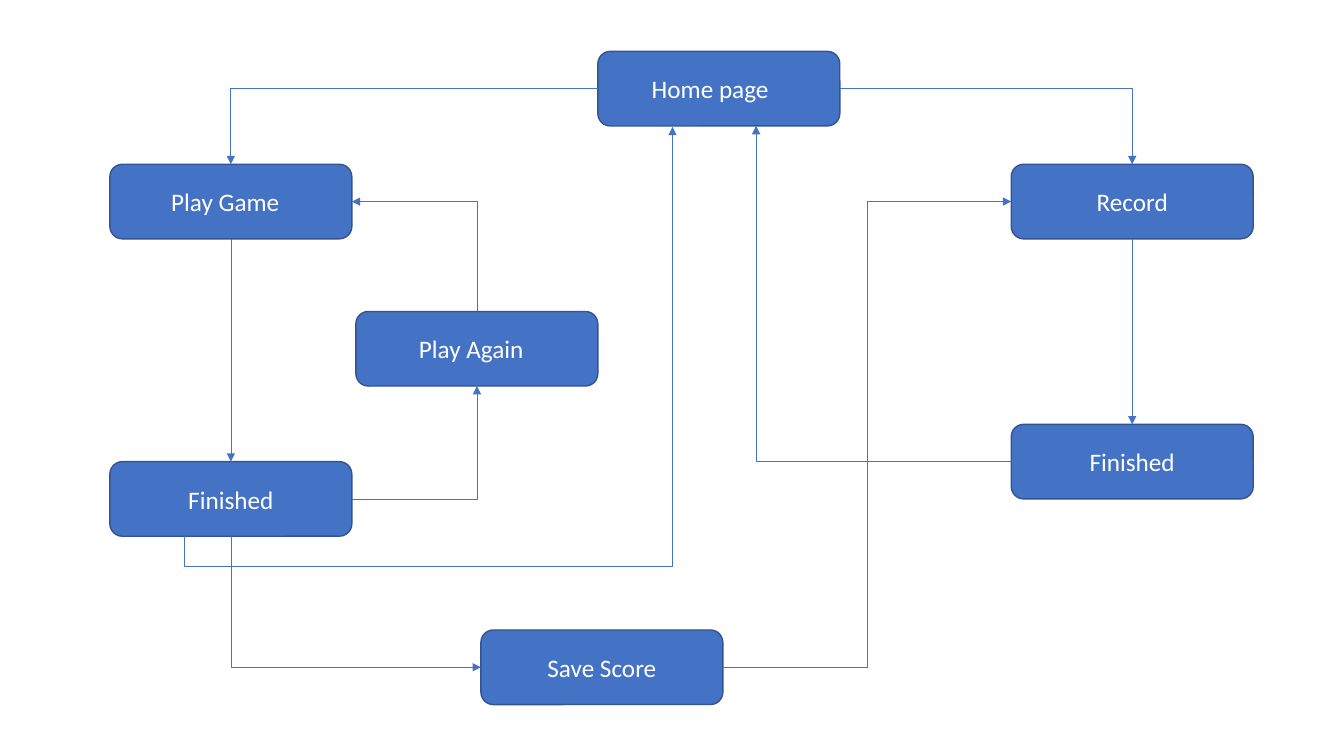
from dataclasses import dataclass

from lxml import etree
from pptx import Presentation
from pptx.dml.color import RGBColor
from pptx.enum.shapes import MSO_CONNECTOR, MSO_SHAPE
from pptx.enum.text import MSO_ANCHOR, PP_ALIGN
from pptx.oxml.ns import qn
from pptx.util import Inches, Pt

ROUNDED = MSO_SHAPE.ROUNDED_RECTANGLE
ELBOW, STRAIGHT = MSO_CONNECTOR.ELBOW, MSO_CONNECTOR.STRAIGHT
MIDDLE, CENTER = MSO_ANCHOR.MIDDLE, PP_ALIGN.CENTER

COLORS = {"step": "4472C4", "border": "325491", "label": "FFFFFF"}
STEP_WIDTH, STEP_HEIGHT = 2.4, 0.74
INSET = 0.1
QUARTER_TURN = "5400000"

Point = tuple[float, float]


@dataclass(frozen=True)
class Step:
    label: str
    left: float
    top: float
    label_gap: float = 0  # extra room right of the label

    def on_edge(self, across: float, down: float) -> Point:
        """Point at the given fractions of the step's width and height."""
        return self.left + across * STEP_WIDTH, self.top + down * STEP_HEIGHT

    def north(self) -> Point:
        return self.on_edge(0.5, 0)

    def south(self) -> Point:
        return self.on_edge(0.5, 1)

    def west(self) -> Point:
        return self.on_edge(0, 0.5)

    def east(self) -> Point:
        return self.on_edge(1, 0.5)


@dataclass(frozen=True)
class Flow:
    start: Point
    end: Point
    bends: int = 1
    leaves_vertically: bool = False
    first_leg: float | None = None  # share of the span before the first bend


HOME = Step("Home page", 5.93, 0.51, 0.17)
PLAY = Step("Play Game", 1.09, 1.63, 0.11)
RECORD = Step("Record", 10.03, 1.63)
AGAIN = Step("Play Again", 3.53, 3.09, 0.11)
GAME_FINISHED = Step("Finished", 1.09, 4.58)
RECORD_FINISHED = Step("Finished", 10.03, 4.21)
SAVE = Step("Save Score", 4.77, 6.25)
STEPS = [HOME, PLAY, RECORD, AGAIN, GAME_FINISHED, RECORD_FINISHED, SAVE]

FLOWS = [
    Flow(HOME.west(), PLAY.north()),
    Flow(HOME.east(), RECORD.north()),
    Flow(PLAY.south(), GAME_FINISHED.north(), bends=0),
    Flow(RECORD.south(), RECORD_FINISHED.north(), bends=0),
    Flow(GAME_FINISHED.east(), AGAIN.south()),
    Flow(AGAIN.north(), PLAY.east(), leaves_vertically=True),
    Flow((1.83, 5.32), (6.67, 1.26), bends=2, leaves_vertically=True, first_leg=-0.075),
    Flow(RECORD_FINISHED.west(), (7.5, 1.25)),
    Flow(GAME_FINISHED.south(), SAVE.west(), leaves_vertically=True),
    Flow(SAVE.east(), RECORD.west(), bends=2),
]


def rgb(name: str) -> RGBColor:
    return RGBColor.from_string(COLORS[name])


def write_text(shape, text: str, *, size: float = 18, color: str = "label",
               font: str = "Calibri", right_inset: float = INSET) -> None:
    frame = shape.text_frame
    frame.word_wrap = True
    frame.vertical_anchor = MIDDLE
    frame.margin_right = Inches(right_inset)
    paragraph = frame.paragraphs[0]
    paragraph.alignment = CENTER
    run = paragraph.add_run()
    run.text = text
    run.font.size = Pt(size)
    run.font.name = font
    run.font.color.rgb = rgb(color)


def draw_step(slide, step: Step) -> None:
    shape = slide.shapes.add_shape(ROUNDED, Inches(step.left), Inches(step.top),
                                   Inches(STEP_WIDTH), Inches(STEP_HEIGHT))
    shape.shadow.inherit = False
    shape.fill.solid()
    shape.fill.fore_color.rgb = rgb("step")
    shape.line.color.rgb = rgb("border")
    shape.line.width = Pt(1)
    write_text(shape, step.label, right_inset=INSET + step.label_gap)


def quarter_turned(start: Point, end: Point) -> tuple[Point, Point]:
    """Ends that land on start and end after a clockwise quarter turn."""
    mid_x, mid_y = (start[0] + end[0]) / 2, (start[1] + end[1]) / 2
    half_x, half_y = (end[0] - start[0]) / 2, (end[1] - start[1]) / 2
    return (mid_x - half_y, mid_y + half_x), (mid_x + half_y, mid_y - half_x)


def draw_flow(slide, flow: Flow) -> None:
    start, end = flow.start, flow.end
    if flow.leaves_vertically:
        start, end = quarter_turned(start, end)
    connector = slide.shapes.add_connector(
        ELBOW if flow.bends else STRAIGHT, *map(Inches, (*start, *end)))
    connector.line.color.rgb = rgb("step")
    connector.line.width = Pt(0.5)

    properties = connector._element.spPr
    geometry = properties.find(qn("a:prstGeom"))
    if flow.bends == 1:
        geometry.set("prst", "bentConnector2")
    if flow.leaves_vertically:
        properties.find(qn("a:xfrm")).set("rot", QUARTER_TURN)
    if flow.first_leg is not None:
        guide = etree.SubElement(geometry.find(qn("a:avLst")), qn("a:gd"))
        guide.set("name", "adj1")
        guide.set("fmla", f"val {round(flow.first_leg * 100000)}")
    arrowhead = etree.SubElement(properties.find(qn("a:ln")), qn("a:tailEnd"))
    arrowhead.set("type", "triangle")
    etree.SubElement(properties, qn("a:effectLst"))


def main() -> None:
    presentation = Presentation()
    presentation.slide_width = Inches(13.33)
    presentation.slide_height = Inches(7.5)
    slide = presentation.slides.add_slide(presentation.slide_layouts[6])
    for step in STEPS:
        draw_step(slide, step)
    for flow in FLOWS:
        draw_flow(slide, flow)
    presentation.save("out.pptx")


if __name__ == "__main__":
    main()
